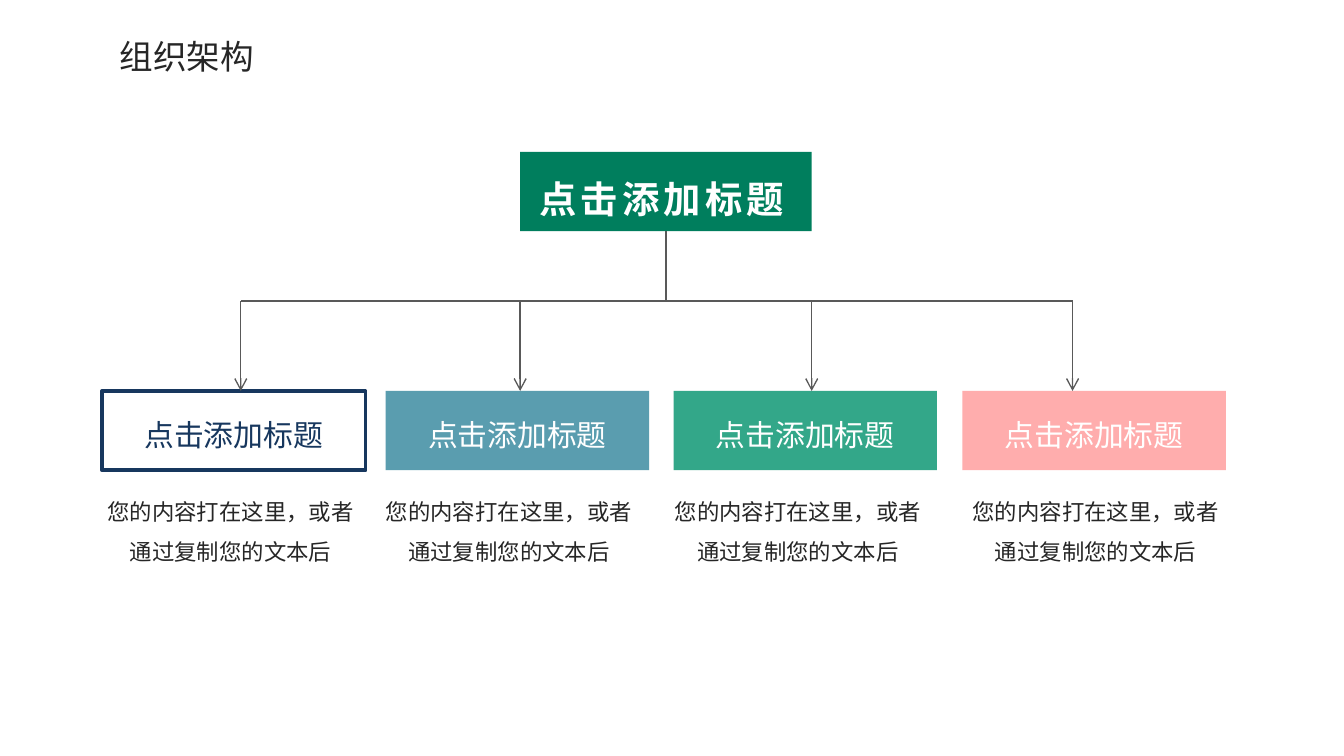
from dataclasses import dataclass

from lxml import etree
from pptx import Presentation
from pptx.dml.color import RGBColor
from pptx.enum.shapes import MSO_CONNECTOR, MSO_SHAPE
from pptx.enum.text import MSO_ANCHOR, MSO_AUTO_SIZE, PP_ALIGN
from pptx.oxml.ns import qn
from pptx.util import Cm, Pt

RECTANGLE = MSO_SHAPE.RECTANGLE
STRAIGHT = MSO_CONNECTOR.STRAIGHT
LEFT, CENTER = PP_ALIGN.LEFT, PP_ALIGN.CENTER
TOP = MSO_ANCHOR.TOP
GROW = MSO_AUTO_SIZE.SHAPE_TO_FIT_TEXT
BOTTOM_SIDE = 2

FONT = "Noto Sans CJK SC"
INK, NAVY, WHITE, LINE_GREY = "262626", "17375E", "FFFFFF", "595959"
HEADING = "点击添加标题"
DETAIL = "您的内容打在这里，或者通过复制您的文本后"

# Shared measures in centimetres
BOX_W, BOX_H = 4.98, 1.5
LABEL_INSET = 0.51
BAR_Y, BRANCH_Y = 5.69, 7.39


@dataclass
class Branch:
    box_x: float
    detail_x: float
    arrow_x: float
    fill: str | None
    text_color: str = WHITE


BRANCHES = [
    Branch(1.93, 1.73, 4.55, None, NAVY),
    Branch(7.29, 6.99, 9.83, "31859C"),
    Branch(12.73, 12.45, 15.34, "00926C"),
    Branch(18.19, 18.08, 20.27, "FF9999"),
]


def rgb(color: str) -> RGBColor:
    return RGBColor.from_string(color)


def write(shape, text: str, size: float, color: str, align=CENTER,
          wrap: bool = False, bold: bool = False, line_spacing: float = 1.0,
          tracking: float = 0) -> None:
    frame = shape.text_frame
    frame.word_wrap = wrap
    frame.auto_size = GROW
    frame.vertical_anchor = TOP
    paragraph = frame.paragraphs[0]
    paragraph.alignment = align
    paragraph.line_spacing = line_spacing
    run = paragraph.add_run()
    run.text = text
    run.font.size = Pt(size)
    run.font.bold = bold
    run.font.name = FONT
    run.font.color.rgb = rgb(color)
    properties = run.font._element
    properties.find(qn("a:latin")).addnext(
        etree.Element(qn("a:ea"), typeface=FONT))
    if tracking:
        properties.set("spc", str(round(tracking * 100)))


def add_text(slide, x: float, y: float, w: float, h: float, text: str,
             size: float, color: str, **style) -> None:
    write(slide.shapes.add_textbox(Cm(x), Cm(y), Cm(w), Cm(h)),
          text, size, color, **style)


def add_box(slide, x: float, y: float, w: float, fill: str | None,
            opacity: int = 100):
    box = slide.shapes.add_shape(RECTANGLE, Cm(x), Cm(y), Cm(w), Cm(BOX_H))
    box.shadow.inherit = False
    if fill is None:
        box.fill.background()
        box.line.color.rgb = rgb(NAVY)
        box.line.width = Pt(2)
        return box
    box.fill.solid()
    box.fill.fore_color.rgb = rgb(fill)
    box.line.fill.background()
    if opacity < 100:
        color = box._element.spPr.find(qn("a:solidFill"))[0]
        etree.SubElement(color, qn("a:alpha"), val=str(opacity * 1000))
    return box


def add_line(slide, x1: float, y1: float, x2: float, y2: float,
             arrow: bool = False):
    line = slide.shapes.add_connector(STRAIGHT, Cm(x1), Cm(y1), Cm(x2), Cm(y2))
    line.line.color.rgb = rgb(LINE_GREY)
    line.line.width = Pt(0.75)
    properties = line._element.spPr
    if arrow:
        etree.SubElement(properties.find(qn("a:ln")), qn("a:tailEnd"),
                         type="arrow")
    etree.SubElement(properties, qn("a:effectLst"))
    return line


def add_branch(slide, branch: Branch) -> None:
    add_box(slide, branch.box_x, BRANCH_Y, BOX_W, branch.fill, opacity=80)
    add_text(slide, branch.box_x + LABEL_INSET, 7.75, BOX_W - 2 * LABEL_INSET,
             0.94, HEADING, 16, branch.text_color)
    add_text(slide, branch.detail_x, 9.04, 5.26, 1.8, DETAIL, 12, INK,
             wrap=True, line_spacing=1.5)
    add_line(slide, branch.arrow_x, BAR_Y, branch.arrow_x, BRANCH_Y, arrow=True)


def main() -> None:
    deck = Presentation()
    deck.slide_width, deck.slide_height = Cm(25.4), Cm(14.29)
    slide = deck.slides.add_slide(deck.slide_layouts[5])

    # Title
    title = slide.shapes.title
    title.left, title.top = Cm(2.01), Cm(0.56)
    title.width, title.height = Cm(3.07), Cm(1.02)
    write(title, "组织架构", 18, INK, align=LEFT)

    # Top of the organisation
    root = add_box(slide, 9.83, 2.87, 5.51, "007E5D")
    add_text(slide, 9.88, 3.2, 5.26, 1.12, HEADING, 20, WHITE,
             bold=True, tracking=2.2)

    # Trunk and crossbar
    root_center = 9.83 + 5.51 / 2
    trunk = add_line(slide, root_center, 2.87 + BOX_H, root_center, BAR_Y)
    trunk.begin_connect(root, BOTTOM_SIDE)
    add_line(slide, BRANCHES[0].arrow_x, BAR_Y, BRANCHES[-1].arrow_x, BAR_Y)

    # Branches
    for branch in BRANCHES:
        add_branch(slide, branch)

    deck.save("out.pptx")


if __name__ == "__main__":
    main()
